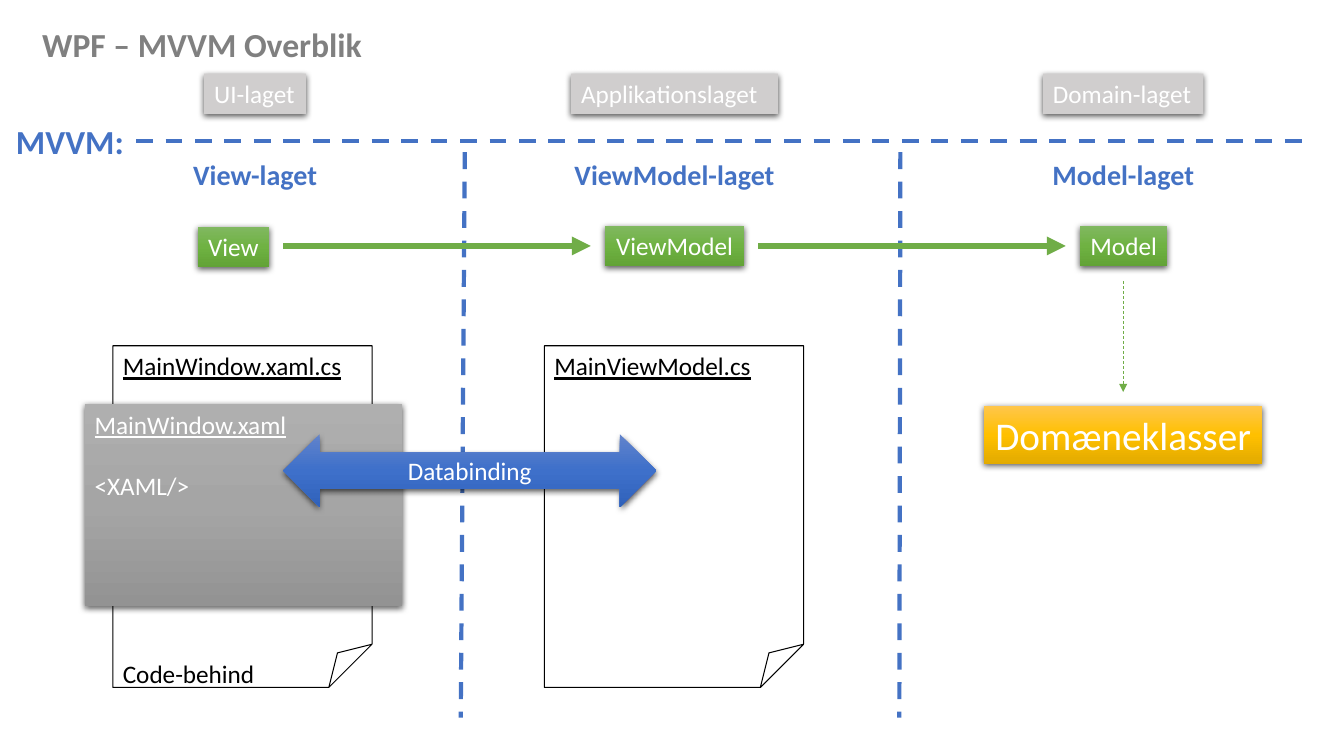
"""Build the WPF MVVM overview slide."""
from copy import deepcopy
from dataclasses import dataclass

from lxml import etree
from pptx import Presentation
from pptx.dml.color import RGBColor
from pptx.enum.dml import MSO_LINE
from pptx.enum.shapes import MSO_CONNECTOR, MSO_SHAPE
from pptx.enum.text import MSO_ANCHOR, PP_ALIGN
from pptx.oxml.ns import qn
from pptx.util import Inches, Pt

RECT = MSO_SHAPE.RECTANGLE
PAGE = MSO_SHAPE.FOLDED_CORNER
ARROW = MSO_SHAPE.LEFT_RIGHT_ARROW
STRAIGHT = MSO_CONNECTOR.STRAIGHT
DASH = MSO_LINE.DASH
LEFT, MID = PP_ALIGN.LEFT, PP_ALIGN.CENTER
TOP, MIDDLE = MSO_ANCHOR.TOP, MSO_ANCHOR.MIDDLE

BLUE, GREEN, WHITE, BLACK = "4472C4", "70AD47", "FFFFFF", "000000"
SILVER = ("D0CECE",)
LEAF = ("81B861", "6FB242", "62A336")
STEEL = ("AFAFAF", "A5A5A5", "939393")
SEA = ("6183CB", "3E70CA", "3062BB")
GOLD = ("FFC64B", "FFC000", "E3AB00")


@dataclass
class Rule:
    """A straight line or arrow."""
    start: tuple[float, float]
    end: tuple[float, float]
    color: str = BLUE
    width: float = 3
    dash: bool = True
    head: bool = False


@dataclass
class Label:
    """A bare text."""
    text: str
    area: tuple[float, float, float, float]
    size: int
    color: str = BLUE
    align: PP_ALIGN = LEFT


@dataclass
class Box:
    """A preset shape with text; without fill it gets an outline."""
    lines: tuple[str, ...]
    area: tuple[float, float, float, float]
    fill: tuple[str, ...] = ()
    form: MSO_SHAPE = RECT
    size: int = 18
    align: PP_ALIGN = MID
    anchor: MSO_ANCHOR = TOP
    wrap: bool = False
    under: bool = False
    gap: float = 0


@dataclass
class Layer:
    """One column: its tag, its name and its node."""
    mid: float
    tag: str
    tag_w: float
    name: str
    name_w: float
    node: str
    node_at: tuple[float, float, float, float]


LAYERS = [
    Layer(2.53, "UI-laget", 1.01, "View-laget", 1.45,
          "View", (1.96, 2.25, 0.71, 0.4)),
    Layer(6.69, "Applikationslaget", 2.05, "ViewModel-laget", 2.2,
          "ViewModel", (6, 2.24, 1.38, 0.4)),
    Layer(11.14, "Domain-laget", 1.59, "Model-laget", 1.62,
          "Model", (10.71, 2.24, 0.87, 0.4)),
]
RULES = [
    Rule((4.61, 1.51), (4.57, 7.12)),
    Rule((8.93, 1.51), (8.92, 7.12)),
    Rule((1.35, 1.4), (13.01, 1.4)),
    Rule((2.81, 2.44), (5.86, 2.44), GREEN, 4.5, False, True),
    Rule((7.52, 2.44), (10.57, 2.44), GREEN, 4.5, False, True),
    Rule((11.14, 2.79), (11.14, 3.89), GREEN, 0.5, True, True),
]
LABELS = [
    Label("WPF – MVVM Overblik", (0.32, 0.19, 3.4, 0.5), 24, "808080"),
    Label("MVVM:", (0.06, 1.15, 1.29, 0.5), 24),
]
BOXES = [
    Box(("MainWindow.xaml.cs", "Code-behind"), (1.12, 3.43, 2.57, 3.39),
        form=PAGE, align=LEFT, wrap=True, under=True, gap=198),
    Box(("MainWindow.xaml", "<XAML/>"), (0.84, 4.01, 3.15, 2), STEEL,
        align=LEFT, wrap=True, under=True, gap=22),
    Box(("MainViewModel.cs",), (5.4, 3.43, 2.57, 3.39),
        form=PAGE, align=LEFT, wrap=True, under=True),
    Box(("Databinding",), (2.81, 4.31, 3.7, 0.72), SEA, ARROW,
        anchor=MIDDLE, wrap=True),
    Box(("Domæneklasser",), (9.76, 4.03, 2.76, 0.57), GOLD, size=28),
]


def rgb(code: str) -> RGBColor:
    """Turn a hex string into a colour."""
    return RGBColor.from_string(code)


def style(para, text: str, size: int, color: str, align: PP_ALIGN) -> None:
    """Fill one paragraph and set its font."""
    para.text, para.alignment = text, align
    font = para.font
    font.name, font.size, font.color.rgb = "Calibri", Pt(size), rgb(color)


def paint(shape, tones: tuple[str, ...]) -> None:
    """Give a shape a solid or a three-tone vertical fill."""
    fill = shape.fill
    if len(tones) == 1:
        fill.solid()
        fill.fore_color.rgb = rgb(tones[0])
        return
    fill.gradient()
    fill.gradient_angle = 270
    stops = shape.element.spPr.find(".//" + qn("a:gsLst"))
    stops.append(deepcopy(stops[0]))
    for i, (stop, tone) in enumerate(zip(fill.gradient_stops, tones)):
        stop.position = i / 2
        stop.color.rgb = rgb(tone)


def shade(shape) -> None:
    """Cast a soft shadow downwards."""
    glow = shape.element.spPr.find(qn("a:effectLst"))
    drop = etree.SubElement(glow, qn("a:outerShdw"), blurRad="57150",
                            dist="19050", dir="5400000", algn="ctr",
                            rotWithShape="0")
    tint = etree.SubElement(drop, qn("a:srgbClr"), val=BLACK)
    etree.SubElement(tint, qn("a:alpha"), val="63000")


def add_rule(slide, rule: Rule) -> None:
    """Draw a line, dashed or with an arrowhead as asked."""
    ends = [Inches(v) for v in rule.start + rule.end]
    line = slide.shapes.add_connector(STRAIGHT, *ends)
    line.line.color.rgb = rgb(rule.color)
    line.line.width = Pt(rule.width)
    if rule.dash:
        line.line.dash_style = DASH
    if rule.head:
        etree.SubElement(line.line._get_or_add_ln(), qn("a:tailEnd"),
                         type="triangle")
    etree.SubElement(line.element.spPr, qn("a:effectLst"))


def add_label(slide, label: Label) -> None:
    """Write a bold text."""
    frame = slide.shapes.add_textbox(*map(Inches, label.area)).text_frame
    frame.word_wrap = False
    para = frame.paragraphs[0]
    style(para, label.text, label.size, label.color, label.align)
    para.font.bold = True


def add_box(slide, box: Box) -> None:
    """Draw a shape and its text."""
    shape = slide.shapes.add_shape(box.form, *map(Inches, box.area))
    shape.shadow.inherit = False
    if box.fill:
        paint(shape, box.fill)
        shape.line.fill.background()
        shade(shape)
    else:
        shape.fill.background()
        shape.line.color.rgb = rgb(BLACK)
        shape.line.width = Pt(0.75)
    frame = shape.text_frame
    frame.word_wrap, frame.vertical_anchor = box.wrap, box.anchor
    for i, text in enumerate(box.lines):
        para = frame.add_paragraph() if i else frame.paragraphs[0]
        style(para, text, box.size, WHITE if box.fill else BLACK, box.align)
        para.font.underline = box.under and i == 0
        para.space_before = Pt(box.gap if i else 0)


def add_layer(slide, layer: Layer) -> None:
    """Draw the tag, name and node of a column."""
    tag = (layer.mid - layer.tag_w / 2, 0.73, layer.tag_w, 0.4)
    name = (layer.mid - layer.name_w / 2, 1.51, layer.name_w, 0.44)
    add_box(slide, Box((layer.tag,), tag, SILVER, align=LEFT, wrap=True))
    add_label(slide, Label(layer.name, name, 20, align=MID))
    add_box(slide, Box((layer.node,), layer.node_at, LEAF))


def main() -> None:
    """Build and save the slide."""
    deck = Presentation()
    deck.slide_width, deck.slide_height = Inches(13.33), Inches(7.5)
    slide = deck.slides.add_slide(deck.slide_layouts[6])
    for draw, parts in ((add_rule, RULES), (add_label, LABELS),
                        (add_layer, LAYERS), (add_box, BOXES)):
        for part in parts:
            draw(slide, part)
    deck.save("out.pptx")


if __name__ == "__main__":
    main()
